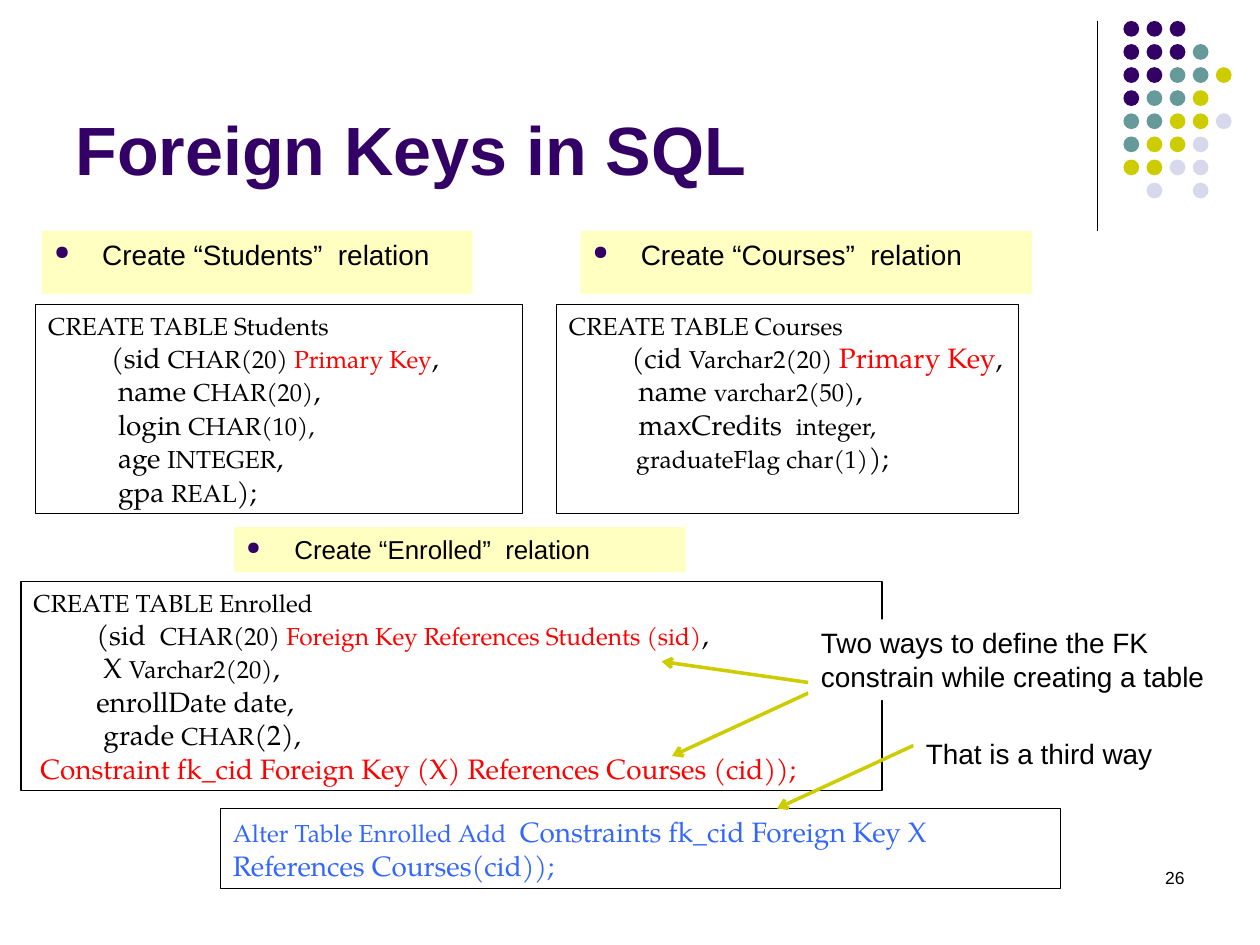
from lxml import etree
from pptx import Presentation
from pptx.dml.color import RGBColor
from pptx.enum.shapes import MSO_CONNECTOR, MSO_SHAPE
from pptx.enum.text import MSO_ANCHOR, PP_ALIGN
from pptx.oxml.ns import qn
from pptx.util import Inches, Pt

STRAIGHT = MSO_CONNECTOR.STRAIGHT
RECTANGLE, OVAL = MSO_SHAPE.RECTANGLE, MSO_SHAPE.OVAL
TOP, BOTTOM = MSO_ANCHOR.TOP, MSO_ANCHOR.BOTTOM
LEFT, RIGHT = PP_ALIGN.LEFT, PP_ALIGN.RIGHT

BLACK = RGBColor(0x00, 0x00, 0x00)
WHITE = RGBColor(0xFF, 0xFF, 0xFF)
PURPLE = RGBColor(0x33, 0x00, 0x66)
TEAL = RGBColor(0x66, 0x99, 0x99)
OLIVE = RGBColor(0xCC, 0xCC, 0x00)
LAVENDER = RGBColor(0xD8, 0xD8, 0xEC)
CREAM = RGBColor(0xFF, 0xFF, 0xC2)
RED = RGBColor(0xFF, 0x00, 0x00)
BLUE = RGBColor(0x33, 0x66, 0xFF)

SANS, SERIF = "Arial", "TeX Gyre Pagella"
STYLES = {
    "title": ({"name": SANS, "size": Pt(39), "bold": True}, PURPLE),
    "page": ({"name": SANS, "size": Pt(10)}, BLACK),
    "label": ({"name": SANS, "size": Pt(16)}, BLACK),
    "small label": ({"name": SANS, "size": Pt(14.8)}, BLACK),
    "code": ({"name": SERIF, "size": Pt(16)}, BLACK),
    "small": ({"name": SERIF, "size": Pt(14)}, BLACK),
    "key": ({"name": SERIF, "size": Pt(16)}, RED),
    "small key": ({"name": SERIF, "size": Pt(14)}, RED),
    "alter": ({"name": SERIF, "size": Pt(16)}, BLUE),
    "small alter": ({"name": SERIF, "size": Pt(14)}, BLUE),
}

presentation = Presentation()
presentation.slide_width, presentation.slide_height = Inches(10), Inches(7.5)
slide = presentation.slides.add_slide(presentation.slide_layouts[6])
COLUMN = presentation.slide_width / 120
ROW = presentation.slide_height / 90


def add_box(area, lines, fill=None, border=None, geometry=RECTANGLE, anchor=TOP, align=LEFT):
    left, top, width, height = area
    shape = slide.shapes.add_shape(geometry, int(left * COLUMN), int(top * ROW),
                                   int(width * COLUMN), int(height * ROW))
    shape.shadow.inherit = False
    for part, color in ((shape.fill, fill), (shape.line.fill, border)):
        if color is None:
            part.background()
        else:
            part.solid()
            part.fore_color.rgb = color
    if border is not None:
        shape.line.width = Pt(0.75)
    frame = shape.text_frame
    frame.word_wrap = True
    frame.vertical_anchor = anchor
    for index, line in enumerate(lines):
        paragraph = frame.add_paragraph() if index else frame.paragraphs[0]
        paragraph.alignment = align
        for text, style in line:
            run = paragraph.add_run()
            run.text = text
            values, color = STYLES[style]
            for name, value in values.items():
                setattr(run.font, name, value)
            run.font.color.rgb = color
    return shape


def add_line(start, end, color, width):
    connector = slide.shapes.add_connector(
        STRAIGHT, int(start[0] * COLUMN), int(start[1] * ROW),
        int(end[0] * COLUMN), int(end[1] * ROW))
    connector.line.color.rgb = color
    connector.line.width = Pt(width)
    etree.SubElement(connector._element.spPr, qn("a:effectLst"))
    return connector


add_line((104.5, 2), (104.5, 22), BLACK, 0.75)

DOT_COLORS = {"P": PURPLE, "T": TEAL, "O": OLIVE, "L": LAVENDER}
DOT_ROWS = ["PPP", "PPPT", "PPTTO", "PTTO", "TTOOL", "TOOL", "OOLL", "-L-L"]
for row, letters in enumerate(DOT_ROWS):
    for column, letter in enumerate(letters):
        if letter in DOT_COLORS:
            add_box((107 + 2.2 * column, 2 + 2.2 * row, 1.5, 1.5), [],
                    DOT_COLORS[letter], geometry=OVAL)

add_box((6, 1.6, 99, 17), [[("Foreign Keys in SQL", "title")]], anchor=BOTTOM)
add_box((86, 82, 28, 6), [[("26", "page")]], align=RIGHT)

LABELS = [
    ((4, 22, 41, 6), "Create “Students”  relation", "label"),
    ((55.3, 22, 43, 6), "Create “Courses”  relation", "label"),
    ((22.3, 50.2, 43, 4.3), "Create “Enrolled”  relation", "small label"),
]
for area, text, style in LABELS:
    label = add_box(area, [[(text, style)]], CREAM)
    properties = label.text_frame.paragraphs[0]._p.get_or_add_pPr()
    properties.set("marL", str(Inches(0.38)))
    properties.set("indent", str(-Inches(0.38)))
    bullet_color = etree.SubElement(properties, qn("a:buClr"))
    etree.SubElement(bullet_color, qn("a:srgbClr"), val=str(PURPLE))
    etree.SubElement(properties, qn("a:buSzPct"), val="70000")
    etree.SubElement(properties, qn("a:buChar"), char="●")

CODE_BOXES = [
    ((3.4, 29, 46.4, 19.9), [
        [("CREATE TABLE Students", "small")],
        [("\t(sid ", "code"), ("CHAR(20) ", "small"), ("Primary Key", "small key"), (",", "code")],
        [("\t name ", "code"), ("CHAR(20)", "small"), (",", "code")],
        [("\t login ", "code"), ("CHAR(10),", "small")],
        [("\t age ", "code"), ("INTEGER", "small"), (",", "code")],
        [("\t gpa ", "code"), ("REAL", "small"), (");", "code")],
    ]),
    ((53, 29, 44, 19.9), [
        [("CREATE TABLE Courses", "small")],
        [("         (cid ", "code"), ("Varchar2(20) ", "small"), ("Primary Key", "key"), (",", "code")],
        [("          name ", "code"), ("varchar2(50)", "small"), (",", "code")],
        [("          maxCredits  ", "code"), ("integer,", "small")],
        [("           graduateFlag char(1)", "small"), (");", "code")],
    ]),
    ((2, 55.4, 82, 19.9), [
        [("CREATE TABLE Enrolled", "small")],
        [("\t(sid  ", "code"), ("CHAR(20) ", "small"),
         ("Foreign Key References Students (sid)", "small key"), (",", "code")],
        [("\t X ", "code"), ("Varchar2(20)", "small"), (",", "code")],
        [("\tenrollDate date,", "code")],
        [("\t grade ", "code"), ("CHAR", "small"), ("(2),", "code")],
        [(" Constraint fk_cid Foreign Key (X) References Courses (cid));", "key")],
    ]),
    ((21, 77, 80, 7.6), [
        [("Alter Table Enrolled Add ", "small alter"),
         (" Constraints fk_cid Foreign Key X References Courses(cid));", "alter")],
    ]),
]
for area, lines in CODE_BOXES:
    add_box(area, lines, border=BLACK)

ARROWS = [((77, 65), (63, 63)), ((77, 66), (64, 72)), ((87, 71), (74, 77))]
for start, end in ARROWS:
    arrow = add_line(start, end, OLIVE, 2)
    etree.SubElement(arrow.line._get_or_add_ln(), qn("a:tailEnd"), type="arrow")

NOTES = [
    ((77, 59, 39, 7.7), "Two ways to define the FK constrain while creating a table"),
    ((87, 69.6, 26, 4.4), "That is a third way"),
]
for area, text in NOTES:
    add_box(area, [[(text, "label")]], WHITE)

presentation.save("out.pptx")
